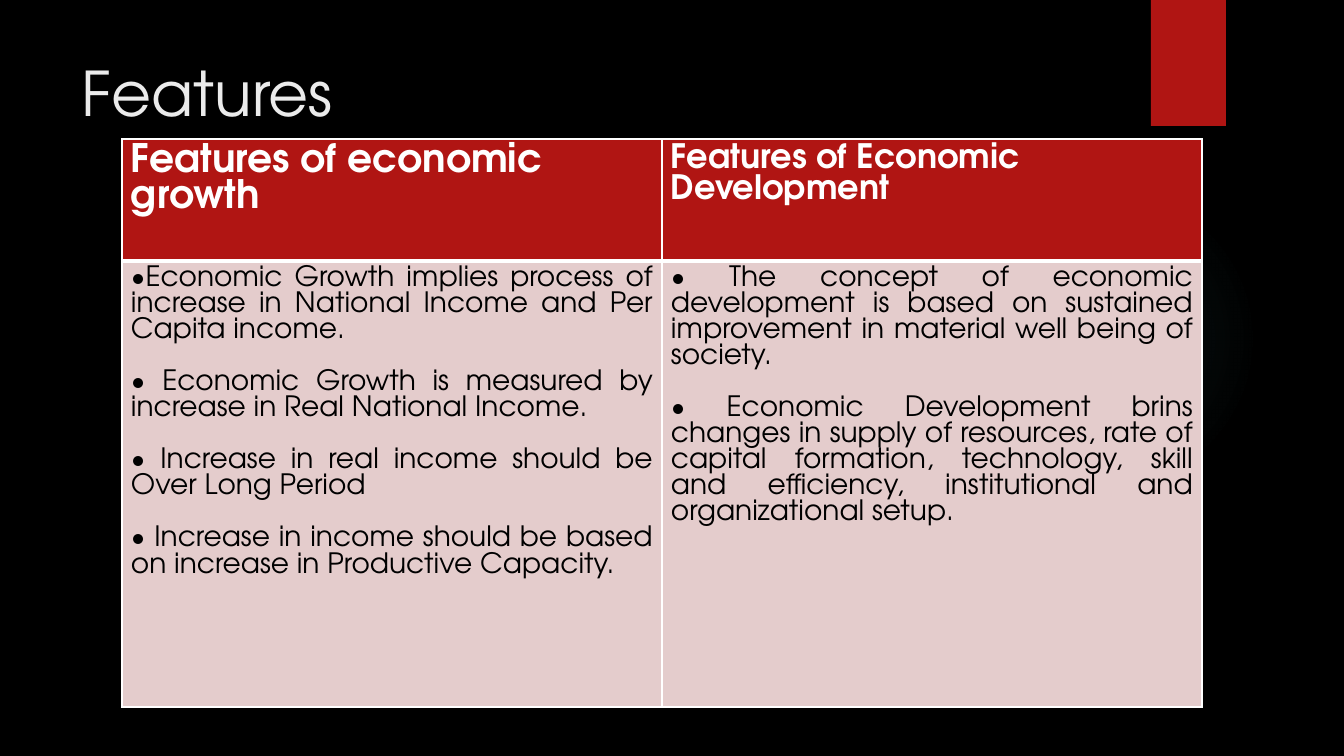
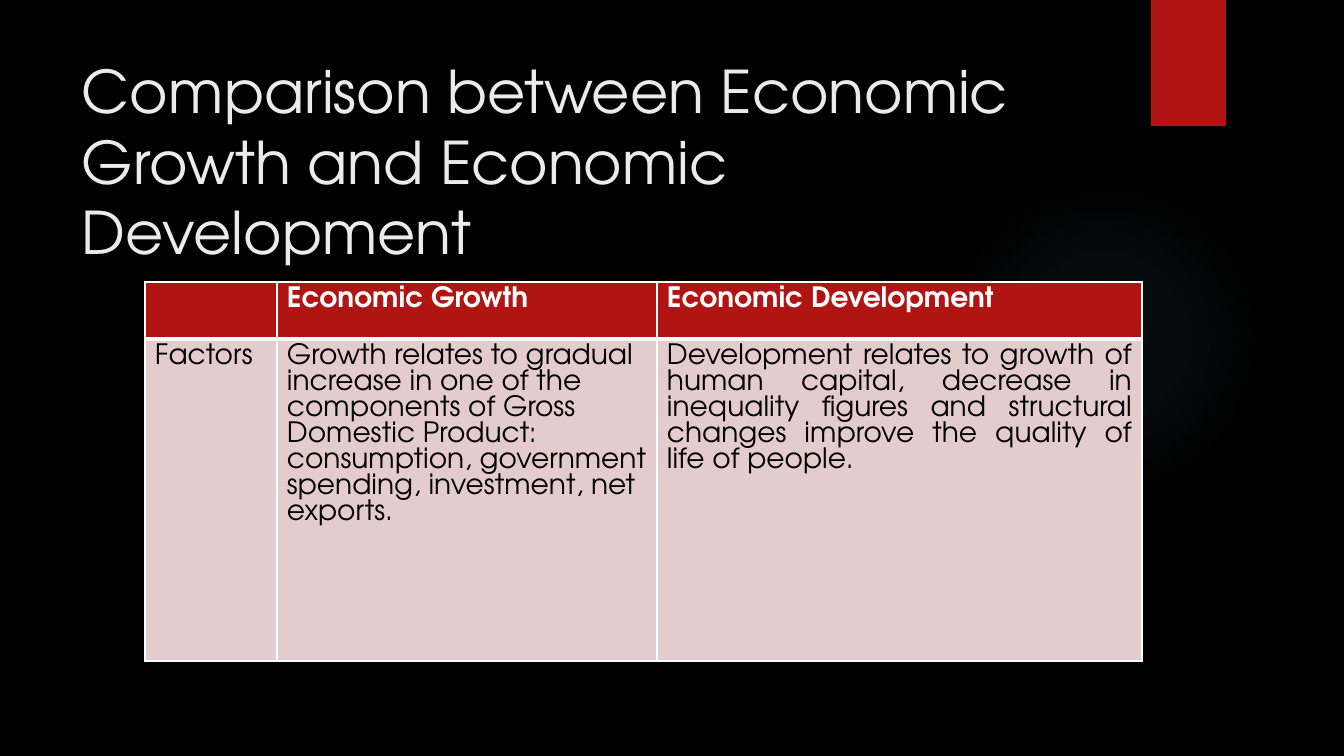
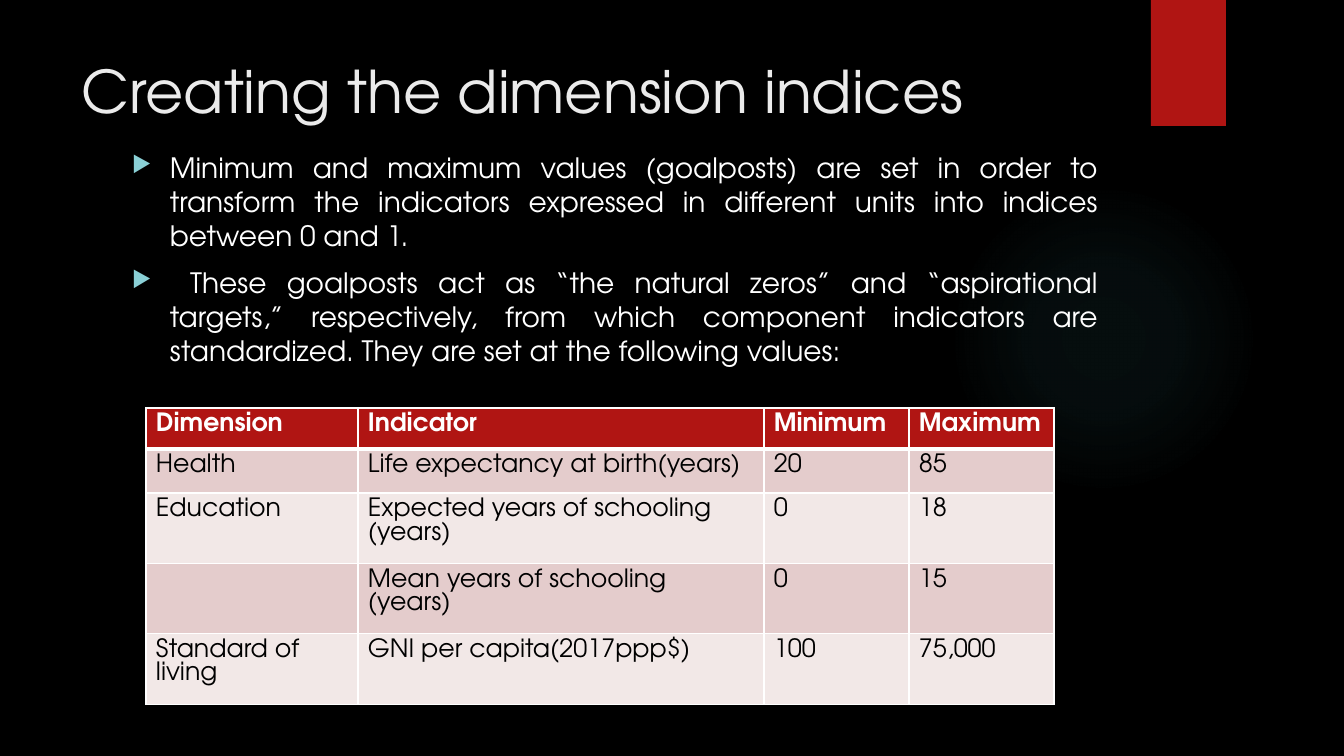
import pptx
import pptx.dml.color
import pptx.enum.shapes
import pptx.enum.text
import pptx.oxml
import pptx.oxml.ns
import pptx.util

RGBColor = pptx.dml.color.RGBColor
PP_ALIGN = pptx.enum.text.PP_ALIGN
MSO_SHAPE = pptx.enum.shapes.MSO_SHAPE

BLACK = RGBColor(0x00, 0x00, 0x00)
WHITE = RGBColor(0xFF, 0xFF, 0xFF)
RED = RGBColor(0xB0, 0x15, 0x13)
TITLE_GREY = RGBColor(0xEB, 0xEB, 0xEB)
ROSE = RGBColor(0xE4, 0xCC, 0xCC)
PALE_ROSE = RGBColor(0xF2, 0xE8, 0xE7)
TEAL = RGBColor(0x50, 0xB9, 0xC1)
BULLET_TEAL = RGBColor(0x8A, 0xD0, 0xD6)

FONT = "TeX Gyre Adventor"
PX_PER_INCH = 100.8
TABLE_PARA_GAP = 18.6
GLOW_STOPS = [(0, 7), (36, 6), (69, 0)]  # position %, opacity %


def px(length):
    return pptx.util.Emu(round(length * 914400 / PX_PER_INCH))


def add_xml(parent, markup):
    """Append one element written with the a: prefix."""
    namespace = pptx.oxml.ns.nsdecls("a")
    head, rest = markup.split(" ", 1)
    parent.append(pptx.oxml.parse_xml(f"{head} {namespace} {rest}"))


def style_text(para, size, color, bold=False):
    for span in para.runs:
        span.font.name = FONT
        span.font.size = pptx.util.Pt(size)
        span.font.bold = bold
        span.font.color.rgb = color


def add_plain_shape(page, kind, box):
    shape = page.shapes.add_shape(kind, *map(px, box))
    shape.shadow.inherit = False
    shape.line.fill.background()
    return shape


def add_glow(page, box):
    """A circle of light that fades out from its centre."""
    glow = add_plain_shape(page, MSO_SHAPE.OVAL, box)
    glow.fill.gradient()
    gradient = glow.fill._xPr.find(pptx.oxml.ns.qn("a:gradFill"))
    for child in list(gradient):
        gradient.remove(child)
    stops = "".join(
        f'<a:gs pos="{place * 1000}"><a:srgbClr val="{TEAL}">'
        f'<a:alpha val="{opacity * 1000}"/></a:srgbClr></a:gs>'
        for place, opacity in GLOW_STOPS)
    add_xml(gradient, f"<a:gsLst >{stops}</a:gsLst>")
    add_xml(gradient, '<a:path path="circle"><a:fillToRect l="50000" t="50000" '
                      'r="50000" b="50000"/></a:path>')


def add_text(page, box, paragraphs, size, color):
    frame = page.shapes.add_textbox(*map(px, box)).text_frame
    frame.word_wrap = True
    frame.text = "\n".join(paragraphs)
    for para in frame.paragraphs:
        style_text(para, size, color)
    return frame


def add_page(deck, title, title_size=42):
    """A page with the glow, the red tab and the title."""
    page = deck.slides.add_slide(deck.slide_layouts[6])
    add_glow(page, (949, 184, 310, 310))
    tab = add_plain_shape(page, MSO_SHAPE.RECTANGLE, (1151, 0, 75, 126))
    tab.fill.solid()
    tab.fill.fore_color.rgb = RED
    add_text(page, (72, 50, 1037, 154), [title], title_size, TITLE_GREY)
    return page


def add_bullets(page, box, paragraphs):
    frame = add_text(page, box, paragraphs, 20, WHITE)
    for para in frame.paragraphs:
        para.alignment = PP_ALIGN.JUSTIFY
        para.space_before = pptx.util.Pt(10)
        props = para._p.get_or_add_pPr()
        props.set("marL", str(px(38)))
        props.set("indent", str(-px(38)))
        add_xml(props, f'<a:buClr ><a:srgbClr val="{BULLET_TEAL}"/></a:buClr>')
        add_xml(props, '<a:buSzPct val="80000"/>')
        add_xml(props, '<a:buFont typeface="OpenSymbol"/>')
        add_xml(props, '<a:buChar char="▶"/>')


def set_borders(cell, top, bottom):
    """White borders; top and bottom are widths in points."""
    props = cell._tc.get_or_add_tcPr()
    widths = {"lnL": 1, "lnR": 1, "lnT": top, "lnB": bottom}
    for index, (side, width) in enumerate(widths.items()):
        line = pptx.oxml.parse_xml(
            f'<a:{side} {pptx.oxml.ns.nsdecls("a")} w="{pptx.util.Pt(width)}">'
            f'<a:solidFill><a:srgbClr val="{WHITE}"/></a:solidFill></a:{side}>')
        props.insert(index, line)


def fill_cell(cell, text, size, row, justify, pad):
    header = row == 0
    cell.margin_left = cell.margin_right = px(pad)
    cell.margin_top = cell.margin_bottom = px(5)
    cell.fill.solid()
    cell.fill.fore_color.rgb = RED if header else (PALE_ROSE, ROSE)[row % 2]
    set_borders(cell, 3 if row == 1 else 1, 3 if header else 1)
    cell.text = text
    for index, para in enumerate(cell.text_frame.paragraphs):
        if index:
            para.space_before = pptx.util.Pt(TABLE_PARA_GAP)
        if justify and not header:
            para.alignment = PP_ALIGN.JUSTIFY
        style_text(para, size, WHITE if header else BLACK, header)


def add_grid(page, corner, widths, heights, rows, size,
             header_sizes=None, justified=(), pad=10):
    """A table with a red header; justified lists the justified columns."""
    frame = page.shapes.add_table(
        len(rows), len(widths), *map(px, (*corner, sum(widths), sum(heights))))
    table = frame.table
    table.horz_banding = False
    for column, width in zip(table.columns, widths):
        column.width = px(width)
    for line, height in zip(table.rows, heights):
        line.height = px(height)
    for row, texts in enumerate(rows):
        for column, text in enumerate(texts):
            text_size = header_sizes[column] if header_sizes and row == 0 else size
            fill_cell(table.cell(row, column), text, text_size, row,
                      column in justified, pad)


def build_features(deck):
    page = add_page(deck, "Features", 44)
    growth = [
        "•Economic Growth implies process of increase in National Income and Per Capita income.",
        "• Economic Growth is measured by increase in Real National Income.",
        "• Increase in real income should be Over Long Period",
        "• Increase in income should be based on increase in Productive Capacity.",
    ]
    development = [
        "• The concept of economic development is based on sustained improvement "
        "in material well being of society.",
        "• Economic Development brins changes in supply of resources, rate of capital "
        "formation, technology, skill and efficiency, institutional and "
        "organizational setup.",
    ]
    rows = [["Features of economic growth", "Features of Economic Development"],
            ["\n".join(growth), "\n".join(development)]]
    add_grid(page, (122, 139), [540, 540], [122, 446], rows, 20,
             header_sizes=[28, 24], justified=(0, 1), pad=9)


def build_comparison(deck):
    page = add_page(
        deck, "Comparison between Economic Growth and Economic Development")
    rows = [
        ["", "Economic Growth", "Economic Development"],
        ["Factors",
         "Growth relates to gradual increase in one of the components of Gross "
         "Domestic Product: consumption, government spending, investment, net exports.",
         "Development relates to growth of human capital, decrease in inequality "
         "figures and structural changes improve the quality of life of people."],
    ]
    add_grid(page, (145, 282), [132, 380, 485], [57, 322], rows, 20, justified=(2,))


def build_indices(deck):
    page = add_page(deck, "Creating the dimension indices")
    add_bullets(page, (122, 146, 986, 542), [
        "Minimum and maximum values (goalposts) are set in order to transform the "
        "indicators expressed in different units into indices between 0 and 1.",
        " These goalposts act as “the natural zeros” and “aspirational targets,” "
        "respectively, from which component indicators are standardized. "
        "They are set at the following values:",
    ])
    rows = [
        ["Dimension", "Indicator", "Minimum", "Maximum"],
        ["Health", "Life expectancy at birth(years)", "20", "85"],
        ["Education", "Expected years of schooling (years)", "0", "18"],
        ["", "Mean years of schooling (years)", "0", "15"],
        ["Standard of living", "GNI per capita(2017ppp$)", "100", "75,000"],
    ]
    add_grid(page, (146, 408), [212, 406, 145, 145], [41, 44, 41, 41, 41], rows, 18)


def main():
    deck = pptx.Presentation()
    deck.slide_width, deck.slide_height = px(1344), px(756)
    backdrop = deck.slide_master.background.fill
    backdrop.solid()
    backdrop.fore_color.rgb = BLACK
    build_features(deck)
    build_comparison(deck)
    build_indices(deck)
    deck.save("out.pptx")


if __name__ == "__main__":
    main()
